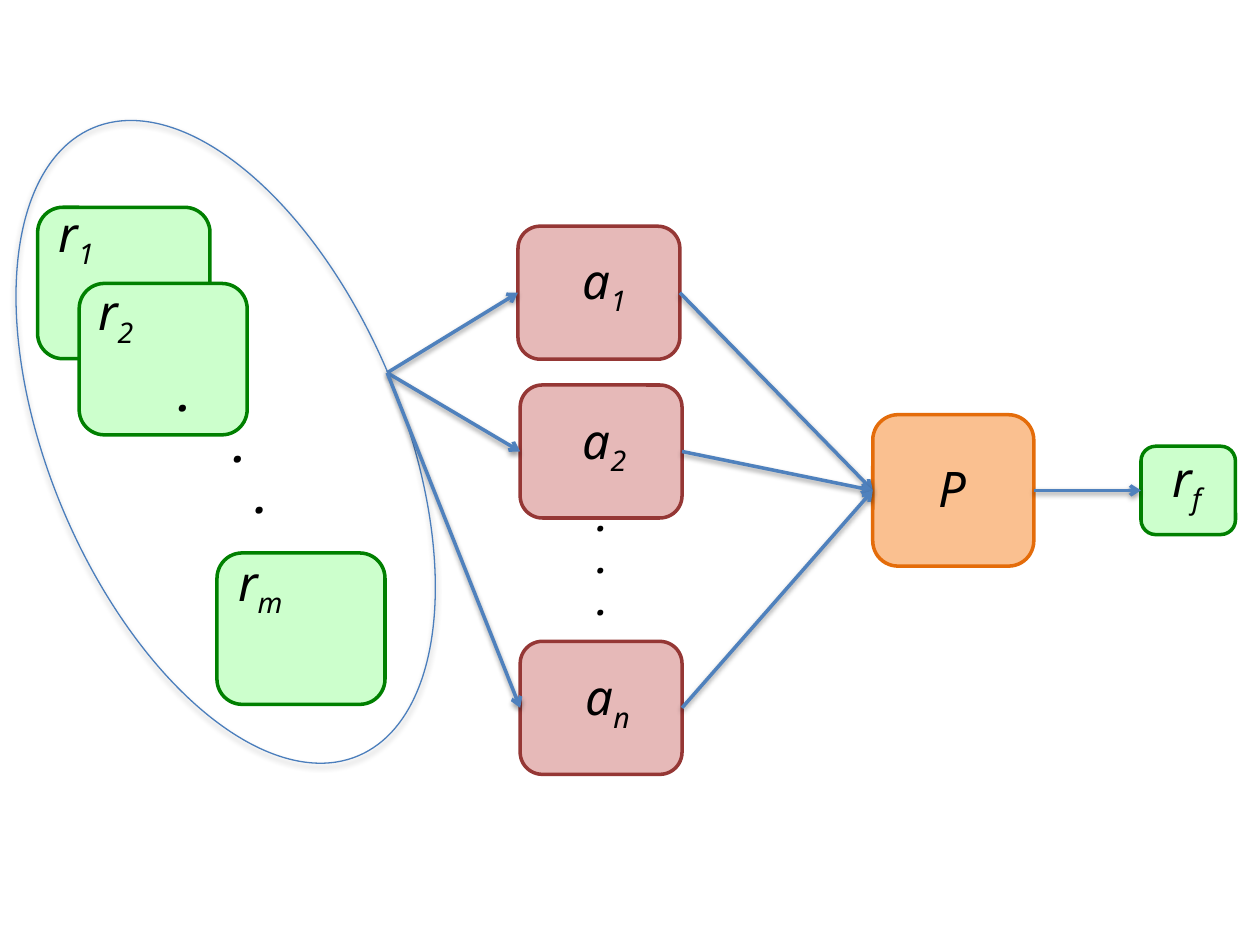
from dataclasses import dataclass

from lxml.etree import SubElement
from pptx import Presentation
from pptx.dml.color import RGBColor
from pptx.enum.shapes import MSO_CONNECTOR as Conn, MSO_SHAPE as Shape
from pptx.enum.text import MSO_ANCHOR as Anchor
from pptx.oxml.ns import qn
from pptx.util import Pt

GREEN = ("CCFFCC", "008000")
RED = ("E6B9B8", "953735")
ORANGE = ("FAC090", "E46C0A")
LABEL = dict(name="Noto Sans", size=Pt(28), italic=True)
LEFT, RIGHT = 1, 3


@dataclass
class Node:
    key: str
    x: float
    y: float
    w: float
    h: float
    colors: tuple[str, str]
    label_x: float
    label_y: float


@dataclass
class Dots:
    x: float
    y: float
    w: float
    h: float
    size: float
    pitch: float
    indents: tuple[float, ...]


NODES = [
    Node("r1", 21.5, 118.5, 98.5, 86.5, GREEN, 26.5, 112.5),
    Node("r2", 45.25, 162, 96, 86.5, GREEN, 49, 157.5),
    Node("rm", 124, 316, 96, 86.5, GREEN, 129, 312),
    Node("P", 498.75, 237, 92, 86.5, ORANGE, 529, 258.5),
    Node("rf", 652, 255, 54, 50.5, GREEN, 663, 252.5),
    Node("a1", 296, 129.25, 92.5, 76, RED, 326, 139.5),
    Node("a2", 297.25, 220, 92.5, 76, RED, 326, 231),
    Node("an", 297.25, 366.5, 92.5, 76, RED, 327.5, 377.5),
]
DOTS = [
    Dots(93.5, 214.5, 90, 94.5, 24, 29, (0, 31.5, 44)),
    Dots(333, 286, 25.5, 80, 20, 24, (0, 0, 0)),
]
LINKS = [("a1", "P"), ("a2", "P"), ("an", "P"), ("P", "rf")]


def rgb(color: str) -> RGBColor:
    return RGBColor.from_string(color)


def add_effects(sp, opacity: int | None = None) -> None:
    effects = SubElement(sp._element.spPr, qn("a:effectLst"))
    if opacity is None:
        return
    shadow = SubElement(effects, qn("a:outerShdw"), blurRad=str(Pt(3.1)),
                        dist=str(Pt(1.7)), dir="5400000", rotWithShape="0")
    black = SubElement(shadow, qn("a:srgbClr"), val="000000")
    SubElement(black, qn("a:alpha"), val=str(opacity * 1000))


def style_line(sp, color: str, width: float) -> None:
    sp.line.color.rgb = rgb(color)
    sp.line.width = Pt(width)


def add_text_frame(s, x: float, y: float, w: float, h: float):
    tf = s.shapes.add_textbox(Pt(x), Pt(y), Pt(w), Pt(h)).text_frame
    for name, value in dict(word_wrap=True, vertical_anchor=Anchor.TOP).items():
        setattr(tf, name, value)
    return tf


def add_run(p, text: str, fmt: dict):
    r = p.add_run()
    r.text = text
    r.font.color.rgb = rgb("000000")
    for name, value in fmt.items():
        setattr(r.font, name, value)
    return r


def add_node(s, node: Node):
    sp = s.shapes.add_shape(Shape.ROUNDED_RECTANGLE, Pt(node.x), Pt(node.y), Pt(node.w), Pt(node.h))
    sp.shadow.inherit = False
    fill, outline = node.colors
    sp.fill.solid()
    sp.fill.fore_color.rgb = rgb(fill)
    style_line(sp, outline, 2)
    return sp


def add_label(s, node: Node) -> None:
    p = add_text_frame(s, node.label_x, node.label_y, 48, 41).paragraphs[0]
    base, subscript = node.key[0], node.key[1:]
    add_run(p, base, LABEL)
    if subscript:
        r = add_run(p, subscript, LABEL)
        r.font._element.set("baseline", "-25000")


def add_dots(s, dots: Dots) -> None:
    tf = add_text_frame(s, dots.x, dots.y, dots.w, dots.h)
    for i, indent in enumerate(dots.indents):
        p = tf.paragraphs[0] if i == 0 else tf.add_paragraph()
        p.line_spacing = Pt(dots.pitch)
        p._p.get_or_add_pPr().set("marL", str(Pt(indent)))
        add_run(p, "·", LABEL | dict(size=Pt(dots.size), bold=True))


def add_ellipse(s) -> None:
    sp = s.shapes.add_shape(Shape.OVAL, Pt(28.25), Pt(57.75), Pt(201.5), Pt(389.5))
    sp.rotation = 337.1
    sp.fill.background()
    style_line(sp, "4B7EBC", 0.75)
    add_effects(sp, 35)


def add_arrow(s, target, source=None) -> None:
    line = s.shapes.add_connector(Conn.STRAIGHT, Pt(221.25), Pt(213), Pt(300), Pt(213))
    if source is not None:
        line.begin_connect(source, RIGHT)
    line.end_connect(target, LEFT)
    style_line(line, "4F81BD", 2)
    SubElement(line.line._get_or_add_ln(), qn("a:tailEnd"), type="arrow")
    add_effects(line, 38)


def main() -> None:
    prs = Presentation()
    prs.slide_width, prs.slide_height = Pt(720), Pt(540)
    s = prs.slides.add_slide(prs.slide_layouts[6])
    boxes = {node.key: add_node(s, node) for node in NODES}
    add_ellipse(s)
    for key in ("a1", "a2", "an"):
        add_arrow(s, boxes[key])
    for source, target in LINKS:
        add_arrow(s, boxes[target], boxes[source])
    for node in NODES:
        add_label(s, node)
    for dots in DOTS:
        add_dots(s, dots)
    prs.save("out.pptx")


if __name__ == "__main__":
    main()
